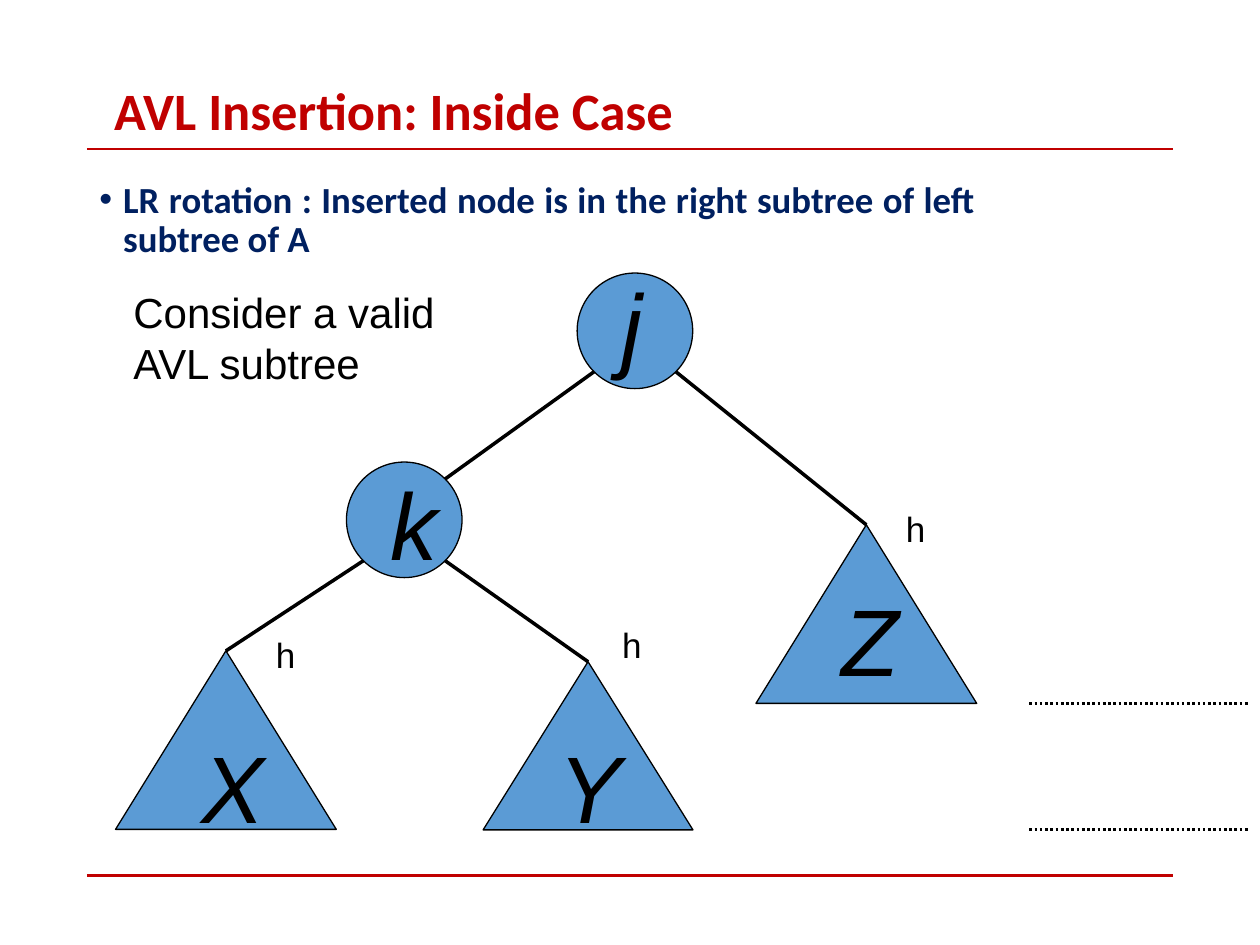
from dataclasses import dataclass
from math import sqrt

import pptx
import pptx.dml.color
import pptx.enum.dml
import pptx.enum.shapes
import pptx.enum.text
import pptx.oxml
import pptx.util
from pptx.util import Cm, Pt

COLORS = {"red": "C00000", "navy": "002060", "node": "5B9BD5", "ink": "000000"}
KINDS = pptx.enum.shapes.MSO_SHAPE
ALIGN = pptx.enum.text.PP_ALIGN
ANCHOR = pptx.enum.text.MSO_ANCHOR
DIAMETER = 2.33
DIAGONAL = DIAMETER / 2 / sqrt(2)


@dataclass
class Node:
    """A circle of the tree, placed by its centre."""
    letter: str
    x: float
    y: float
    letter_left: float
    letter_top: float

    def corner(self, side: int, level: int) -> tuple[float, float]:
        """Point on the rim: side -1 left, 1 right; level -1 upper, 1 lower."""
        return self.x + side * DIAGONAL, self.y + level * DIAGONAL


@dataclass
class Subtree:
    """A triangle of the tree, with its height label."""
    letter: str
    left: float
    top: float
    width: float
    height: float
    letter_left: float
    letter_top: float
    label_left: float
    label_top: float


def rgb(name: str) -> pptx.dml.color.RGBColor:
    return pptx.dml.color.RGBColor.from_string(COLORS[name])


def style_text(frame, font: str, size: float, color: str,
               bold: bool = False, italic: bool = False) -> None:
    for paragraph in frame.paragraphs:
        for run in paragraph.runs:
            run.font.name = font
            run.font.size = Pt(size)
            run.font.bold = bold
            run.font.italic = italic
            run.font.color.rgb = rgb(color)


def place(shape, left: float, top: float, width: float, height: float) -> None:
    shape.left, shape.top = Cm(left), Cm(top)
    shape.width, shape.height = Cm(width), Cm(height)


def add_label(slide, text: str, left: float, top: float, width: float,
              height: float, size: float, italic: bool = False) -> None:
    box = slide.shapes.add_textbox(Cm(left), Cm(top), Cm(width), Cm(height))
    frame = box.text_frame
    frame.word_wrap = True
    frame.text = text
    style_text(frame, "Arial", size, "ink", italic=italic)


def add_letter(slide, part: Node | Subtree) -> None:
    add_label(slide, part.letter, part.letter_left, part.letter_top,
              1.42, 2.54, 54, italic=True)


def add_line(slide, start: tuple[float, float], end: tuple[float, float],
             color: str, width: float, dotted: bool = False):
    line = slide.shapes.add_connector(
        pptx.enum.shapes.MSO_CONNECTOR.STRAIGHT,
        Cm(start[0]), Cm(start[1]), Cm(end[0]), Cm(end[1]))
    line.line.color.rgb = rgb(color)
    line.line.width = Pt(width)
    if dotted:
        line.line.dash_style = pptx.enum.dml.MSO_LINE.ROUND_DOT
    properties = line._element.spPr
    properties.append(properties.makeelement(pptx.oxml.ns.qn("a:effectLst"), {}))
    return line


def add_part(slide, kind, left: float, top: float, width: float, height: float):
    part = slide.shapes.add_shape(kind, Cm(left), Cm(top), Cm(width), Cm(height))
    part.shadow.inherit = False
    part.fill.solid()
    part.fill.fore_color.rgb = rgb("node")
    part.line.color.rgb = rgb("ink")
    part.line.width = Pt(0.75)
    return part


def add_node(slide, node: Node) -> None:
    add_part(slide, KINDS.OVAL, node.x - DIAMETER / 2, node.y - DIAMETER / 2,
             DIAMETER, DIAMETER)
    add_letter(slide, node)


def add_subtree(slide, subtree: Subtree, parent: Node, side: int) -> None:
    triangle = add_part(slide, KINDS.ISOSCELES_TRIANGLE, subtree.left,
                        subtree.top, subtree.width, subtree.height)
    apex = (subtree.left + subtree.width / 2, subtree.top)
    edge = add_line(slide, parent.corner(side, 1), apex, "ink", 2)
    edge.end_connect(triangle, 0)
    add_letter(slide, subtree)
    add_label(slide, "h", subtree.label_left, subtree.label_top, 0.89, 1.12, 20)


def fill_title(title) -> None:
    place(title, 1.75, 1.55, 21.9, 1.47)
    frame = title.text_frame
    frame.text = "AVL Insertion: Inside Case"
    frame.auto_size = pptx.enum.text.MSO_AUTO_SIZE.NONE
    frame.vertical_anchor = ANCHOR.MIDDLE
    frame.margin_left = Cm(0.55)
    frame.paragraphs[0].alignment = ALIGN.LEFT
    frame.paragraphs[0].line_spacing = 0.9
    style_text(frame, "Calibri", 30, "red", bold=True)


def fill_body(body) -> None:
    place(body, 1.75, 3.53, 18.16, 13.64)
    frame = body.text_frame
    frame.text = ("LR rotation : Inserted node is in the right subtree "
                  "of left subtree of A")
    frame.auto_size = pptx.enum.text.MSO_AUTO_SIZE.NONE
    paragraph = frame.paragraphs[0]
    paragraph.alignment = ALIGN.JUSTIFY
    paragraph.line_spacing = 0.9
    paragraph.space_before = Pt(0)
    # Hanging bullet in the text colour
    properties = paragraph._p.get_or_add_pPr()
    properties.set("marL", str(Cm(0.48)))
    properties.set("indent", str(Cm(-0.48)))
    namespace = pptx.oxml.ns.nsdecls("a")
    for xml in (
        f'<a:buClr {namespace}><a:srgbClr val="{COLORS["navy"]}"/></a:buClr>',
        f'<a:buFont {namespace} typeface="Arial"/>',
        f'<a:buChar {namespace} char="•"/>',
    ):
        properties.append(pptx.oxml.parse_xml(xml))
    style_text(frame, "Calibri", 21, "navy", bold=True)


def main() -> None:
    presentation = pptx.Presentation()
    presentation.slide_width, presentation.slide_height = Cm(25.4), Cm(19.05)
    slide = presentation.slides.add_slide(presentation.slide_layouts[1])

    # Heading, rules and bullet
    fill_title(slide.shapes.title)
    fill_body(slide.placeholders[1])
    for y in (3, 17.65):
        add_line(slide, (1.75, y), (23.65, y), "red", 1.5)

    # Tree
    root = Node("j", 12.8, 6.67, 12.28, 5.26)
    child = Node("k", 8.15, 10.48, 7.62, 9.28)
    for node in (root, child):
        add_node(slide, node)
    add_line(slide, root.corner(-1, 1), child.corner(1, -1), "ink", 2)
    subtrees = [
        (Subtree("X", 2.33, 13.12, 4.45, 3.6, 3.81, 14.57, 5.31, 12.65), child, -1),
        (Subtree("Y", 9.74, 13.34, 4.23, 3.39, 11.01, 14.57, 12.29, 12.45), child, 1),
        (Subtree("Z", 15.24, 10.58, 4.45, 3.6, 16.72, 11.61, 18.01, 10.11), root, 1),
    ]
    for subtree, parent, side in subtrees:
        add_subtree(slide, subtree, parent, side)

    # Levels of the subtree bottoms
    for y in (14.18, 16.72):
        add_line(slide, (20.75, y), (25.2, y), "ink", 1.5, dotted=True)

    # Caption
    add_label(slide, "Consider a valid\nAVL subtree", 2.44, 5.66, 7, 2.29, 24)

    presentation.save("out.pptx")


if __name__ == "__main__":
    main()
